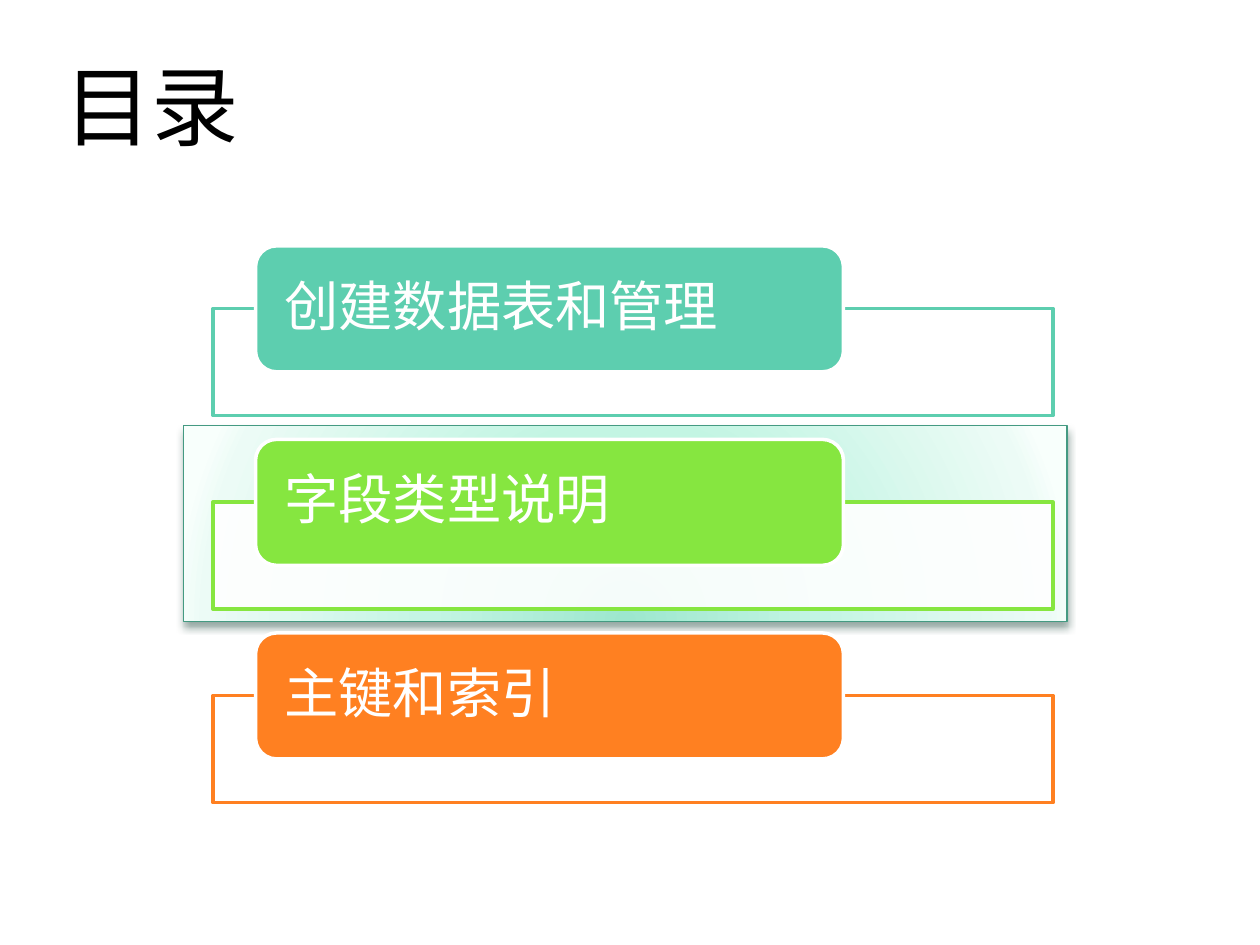
from pptx import Presentation
from pptx.dml.color import RGBColor
from pptx.enum.shapes import MSO_SHAPE
from pptx.enum.text import MSO_ANCHOR, PP_ALIGN
from pptx.oxml import parse_xml
from pptx.oxml.ns import nsdecls, qn
from pptx.util import Pt

RECTANGLE, ROUNDED = MSO_SHAPE.RECTANGLE, MSO_SHAPE.ROUNDED_RECTANGLE
LEFT, MIDDLE, BOTTOM = PP_ALIGN.LEFT, MSO_ANCHOR.MIDDLE, MSO_ANCHOR.BOTTOM

COLORS = {
    "black": "000000", "white": "FFFFFF", "teal": "5DCEAF", "green": "86E640",
    "orange": "FF8021", "highlight_line": "449A82", "shadow": "20493E",
}
GLOW_STOPS = [(0, "9DE7CE"), (43, "C3F5E3"), (93, "ECFBF6"), (100, "F8FFFC")]
TOPICS = [("创建数据表和管理", "teal"), ("字段类型说明", "green"), ("主键和索引", "orange")]
FIRST_TOP, PITCH = 140.5, 110.6
FRAME_DROP = 35.8


def add_box(kind, left, top, width, height, fill, line, weight):
    """Add a shadowless filled and outlined shape, with lengths in points."""
    box = page.shapes.add_shape(kind, Pt(left), Pt(top), Pt(width), Pt(height))
    box.shadow.inherit = False
    box.fill.solid()
    box.fill.fore_color.rgb = RGBColor.from_string(COLORS[fill])
    box.line.color.rgb = RGBColor.from_string(COLORS[line])
    box.line.width = Pt(weight)
    return box


def write_text(box, text, size, color, font, anchor, insets):
    """Write one left-aligned paragraph and return it."""
    frame = box.text_frame
    frame.word_wrap = True
    frame.vertical_anchor = anchor
    frame.margin_left, frame.margin_top, frame.margin_right, frame.margin_bottom = map(Pt, insets)
    para = frame.paragraphs[0]
    para.alignment = LEFT
    span = para.add_run()
    span.text = text
    span.font.size = Pt(size)
    span.font.name = font
    span.font.color.rgb = RGBColor.from_string(COLORS[color])
    return para


deck = Presentation()
deck.slide_width, deck.slide_height = Pt(720), Pt(540)
page = deck.slides.add_slide(deck.slide_layouts[5])

title = page.shapes.title
title.left, title.top, title.width, title.height = Pt(36.7), Pt(0), Pt(674.6), Pt(90)
write_text(title, "目录", size=50, color="black", font="Noto Sans CJK SC",
           anchor=BOTTOM, insets=(0, 3.6, 0, 0))

# Highlight behind the second topic: radial glow and soft shadow
highlight = add_box(RECTANGLE, 105, 243.2, 504.7, 111.8, "white", "highlight_line", 0.75)
stops = "".join(
    f'<a:gs pos="{position * 1000}"><a:srgbClr val="{color}"/></a:gs>'
    for position, color in GLOW_STOPS
)
glow = parse_xml(
    f'<a:gradFill {nsdecls("a")} rotWithShape="1"><a:gsLst>{stops}</a:gsLst>'
    '<a:path path="circle"><a:fillToRect l="50000" t="130000" r="50000" b="-30000"/></a:path>'
    '</a:gradFill>'
)
properties = highlight._element.spPr
properties.replace(properties.find(qn("a:solidFill")), glow)
properties.find(qn("a:effectLst")).append(parse_xml(
    f'<a:outerShdw {nsdecls("a")} blurRad="{Pt(4.5)}" dist="{Pt(3)}" dir="5400000" '
    f'rotWithShape="0"><a:srgbClr val="{COLORS["shadow"]}"><a:alpha val="48000"/>'
    '</a:srgbClr></a:outerShdw>'
))

for row, (topic, color) in enumerate(TOPICS):
    top = FIRST_TOP + row * PITCH
    frame = add_box(RECTANGLE, 121.7, top + FRAME_DROP, 480, 61.2, "white", color, 2)
    fill_color = frame._element.spPr.find(qn("a:solidFill"))[0]
    fill_color.append(parse_xml(f'<a:alpha {nsdecls("a")} val="90000"/>'))

    label = add_box(ROUNDED, 146, top, 336, 72, color, "white", 2)
    para = write_text(label, topic, size=31, color="white", font="Open Sans",
                      anchor=MIDDLE, insets=(13, 0, 13, 0))
    para.line_spacing = 0.9
    para.space_after = Pt(10.85)

deck.save("out.pptx")
